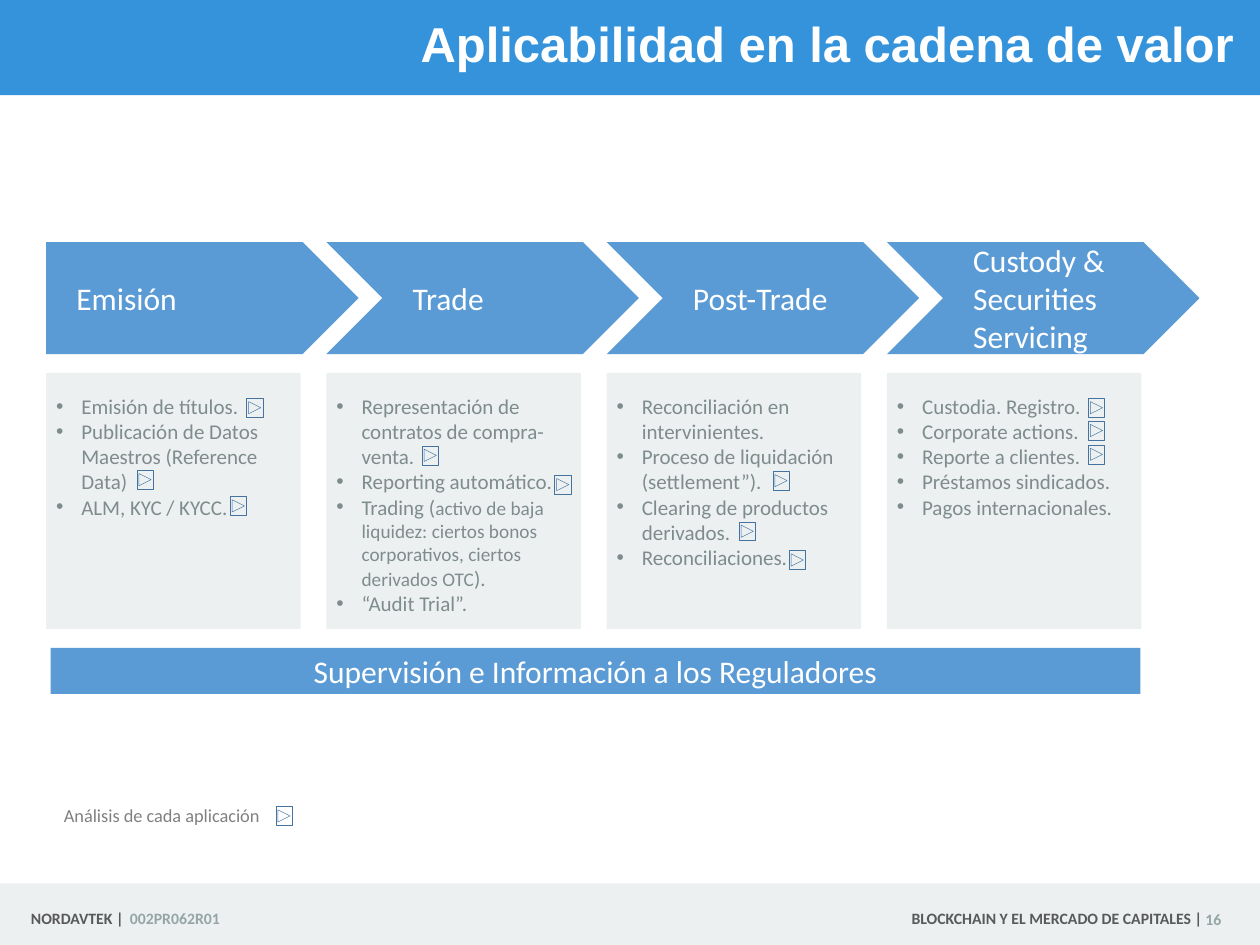
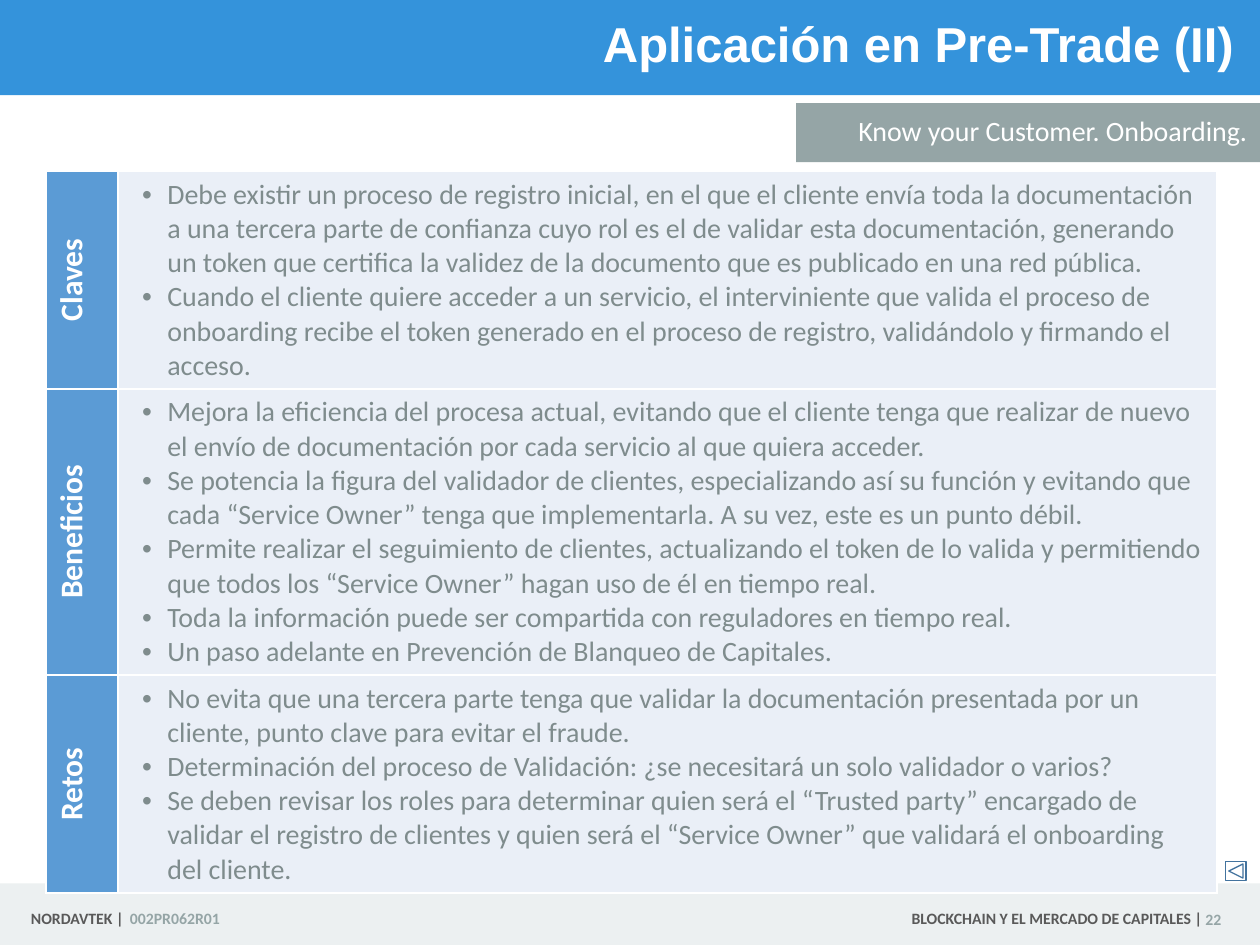
from lxml.etree import SubElement
from pptx import Presentation
from pptx.dml.color import RGBColor
from pptx.enum.shapes import MSO_SHAPE as Shape
from pptx.enum.text import MSO_ANCHOR as Anchor, PP_ALIGN as Align
from pptx.oxml.ns import qn
from pptx.util import Cm, Pt

SLIDE_WIDTH, SLIDE_HEIGHT = 25.4, 19.05
TITLE_BLUE, BLUE, BUTTON_BLUE = "3493DB", "5B9BD5", "43739E"
PALE_GREY, PALE_BLUE, WHITE = "ECF0F1", "EAEFF7", "FFFFFF"
TEXT_GREY, MID_GREY, DARK_GREY, LEGEND_GREY = "7F8C8D", "95A5A6", "595959", "808080"
DEFAULT_INSETS = (0.25, 0.13, 0.25, 0.13)
LEFT_FOOTER_INSETS, RIGHT_FOOTER_INSETS = (0.25, 0.13, 0, 0.13), (0, 0.13, 0.25, 0.13)

STAGES = [
    ("Emisión",
     ["Emisión de títulos.", "Publicación de Datos Maestros (Reference Data)", "ALM, KYC / KYCC."],
     [(4.04, 0.51), (1.83, 1.96), (3.71, 2.49)]),
    ("Trade",
     ["Representación de contratos de compra-venta.", "Reporting automático.",
      [("Trading (", 12),
       ("activo de baja liquidez: ciertos bonos corporativos, ciertos derivados OTC", 11),
       (").", 12)],
      "“Audit Trial”."],
     [(1.93, 1.47), (4.6, 2.06)]),
    ("Post-Trade",
     ["Reconciliación en intervinientes.", "Proceso de liquidación (settlement”).",
      "Clearing de productos derivados.", "Reconciliaciones."],
     [(3.35, 1.98), (2.67, 3), (3.68, 3.58)]),
    ("Custody & Securities Servicing",
     ["Custodia. Registro.", "Corporate actions.", "Reporte a clientes.",
      "Préstamos sindicados.", "Pagos internacionales."],
     [(4.06, 0.51), (4.06, 0.97), (4.06, 1.45)]),
]

ONBOARDING = [
    ("Claves", 4.39, [
        "Debe existir un proceso de registro inicial, en el que el cliente envía toda la "
        "documentación a una tercera parte de confianza cuyo rol es el de validar esta "
        "documentación, generando un token que certifica la validez de la documento que es "
        "publicado en una red pública.",
        "Cuando el cliente quiere acceder a un servicio, el interviniente que valida el proceso "
        "de onboarding recibe el token generado en el proceso de registro, validándolo y "
        "firmando el acceso."]),
    ("Beneficios", 5.77, [
        "Mejora la eficiencia del procesa actual, evitando que el cliente tenga que realizar de "
        "nuevo el envío de documentación por cada servicio al que quiera acceder.",
        "Se potencia la figura del validador de clientes, especializando así su función y "
        "evitando que cada “Service Owner” tenga que implementarla. A su vez, este es un punto "
        "débil.",
        "Permite realizar el seguimiento de clientes, actualizando el token de lo valida y "
        "permitiendo que todos los “Service Owner” hagan uso de él en tiempo real.",
        "Toda la información puede ser compartida con reguladores en tiempo real.",
        "Un paso adelante en Prevención de Blanqueo de Capitales."]),
    ("Retos", 4.39, [
        "No evita que una tercera parte tenga que validar la documentación presentada por un "
        "cliente, punto clave para evitar el fraude.",
        "Determinación del proceso de Validación: ¿se necesitará un solo validador o varios?",
        "Se deben revisar los roles para determinar quien será el “Trusted party” encargado de "
        "validar el registro de clientes y quien será el “Service Owner” que validará el "
        "onboarding del cliente."]),
]


def color(value):
    """Turn a hex string into a colour."""
    return RGBColor.from_string(value)


def write(text_frame, items, size, ink, bold=False, font="Calibri", align=Align.LEFT,
          spacing=None, before=None):
    """Write one paragraph per item; an item is a string or a list of (text, size)."""
    for index, item in enumerate(items):
        paragraph = text_frame.add_paragraph() if index else text_frame.paragraphs[0]
        paragraph.alignment = align
        if spacing:
            paragraph.line_spacing = spacing
        if before:
            paragraph.space_before = Pt(before)
        pieces = [(item, size)] if isinstance(item, str) else item
        for text, piece_size in pieces:
            run = paragraph.add_run()
            run.text = text
            run.font.size, run.font.bold, run.font.name = Pt(piece_size), bold, font
            run.font.color.rgb = color(ink)


def add_bullets(text_frame, margin):
    """Give every paragraph a hanging bullet."""
    for paragraph in text_frame.paragraphs:
        properties = paragraph._p.get_or_add_pPr()
        properties.set("marL", str(Cm(margin)))
        properties.set("indent", str(-Cm(0.51)))
        SubElement(properties, qn("a:buFont"), typeface="Arial")
        SubElement(properties, qn("a:buChar"), char="•")


def set_frame(text_frame, anchor, insets=DEFAULT_INSETS, wrap=True):
    """Set the anchor, the insets and the wrapping of a text frame."""
    text_frame.word_wrap = wrap
    text_frame.vertical_anchor = anchor
    (text_frame.margin_left, text_frame.margin_top,
     text_frame.margin_right, text_frame.margin_bottom) = map(Cm, insets)


def add_block(slide, box, fill, kind=Shape.RECTANGLE, anchor=Anchor.MIDDLE, insets=DEFAULT_INSETS):
    """Add a filled shape without outline."""
    shape = slide.shapes.add_shape(kind, *map(Cm, box))
    shape.shadow.inherit = False
    shape.fill.solid()
    shape.fill.fore_color.rgb = color(fill)
    shape.line.fill.background()
    set_frame(shape.text_frame, anchor, insets)
    return shape


def add_label(slide, box, text, size, ink, anchor=Anchor.MIDDLE, insets=DEFAULT_INSETS,
              wrap=True, **style):
    """Add a text box with one paragraph."""
    label = slide.shapes.add_textbox(*map(Cm, box))
    set_frame(label.text_frame, anchor, insets, wrap)
    write(label.text_frame, [text], size, ink, **style)


def add_button(slide, box, kind=Shape.ACTION_BUTTON_FORWARD_OR_NEXT, weight=0.25):
    """Add an outlined navigation button."""
    button = slide.shapes.add_shape(kind, *map(Cm, box))
    button.shadow.inherit = False
    button.fill.background()
    button.line.color.rgb = color(BUTTON_BLUE)
    button.line.width = Pt(weight)


def add_footer(slide, top, number):
    """Add the footer band with its texts and the page number."""
    add_block(slide, (0, top, SLIDE_WIDTH, SLIDE_HEIGHT - top), PALE_GREY)
    for left, width, text in [(0.23, 2.26, "NORDAVTEK |"),
                              (15.65, 8.58, "BLOCKCHAIN Y EL MERCADO DE CAPITALES |")]:
        add_label(slide, (left, top + 0.3, width, 0.79), text, 9, DARK_GREY,
                  insets=LEFT_FOOTER_INSETS, bold=True, align=Align.RIGHT)
    add_label(slide, (2.62, top + 0.33, 2.26, 0.79), "002PR062R01", 9, MID_GREY,
              insets=RIGHT_FOOTER_INSETS, bold=True, spacing=0.9, before=10)
    add_label(slide, (24.23, top + 0.33, 0.89, 0.79), f" {number}", 9, MID_GREY,
              insets=RIGHT_FOOTER_INSETS, bold=True)


def add_page(presentation, title, number):
    """Add a slide with the shared title band and footer."""
    slide = presentation.slides.add_slide(presentation.slide_layouts[6])
    add_block(slide, (0, 0, SLIDE_WIDTH, 1.92), TITLE_BLUE)
    add_footer(slide, 17.81, number)
    add_label(slide, (6.27, 0.03, 18.85, 1.83), title, 28, WHITE, bold=True,
              font="Arial", align=Align.RIGHT, spacing=0.9)
    return slide


def add_stage(slide, left, top, kind, stage):
    """Add a stage arrow, its card of bullets and the card's buttons."""
    name, points, buttons = stage
    arrow = add_block(slide, (left, top, 6.3, 2.26), BLUE, kind, insets=(0.61, 0.2, 0, 0.2))
    write(arrow.text_frame, [name], 18, WHITE)
    card_top = top + 2.64
    card = add_block(slide, (left, card_top, 5.13, 5.16), PALE_GREY,
                     anchor=Anchor.TOP, insets=(0.2, 0.41, 0, 0.13))
    write(card.text_frame, points, 12, TEXT_GREY)
    add_bullets(card.text_frame, 0.51)
    for x, y in buttons:
        add_button(slide, (left + x, card_top + y, 0.33, 0.38))


def build_value_chain(presentation):
    """Build the slide of the value chain."""
    slide = add_page(presentation, "Aplicabilidad en la cadena de valor", 16)
    for index, stage in enumerate(STAGES):
        kind = Shape.CHEVRON if index else Shape.PENTAGON
        add_stage(slide, 0.93 + index * 5.65, 4.88, kind, stage)
    supervision = add_block(slide, (1.02, 13.06, 21.97, 0.93), BLUE)
    write(supervision.text_frame, ["Supervisión e Información a los Reguladores"], 18, WHITE,
          align=Align.CENTER)
    add_label(slide, (1.04, 16.08, 4.52, 0.71), "Análisis de cada aplicación", 10.5,
              LEGEND_GREY, anchor=Anchor.TOP, wrap=False)
    add_button(slide, (5.56, 16.26, 0.33, 0.38))


def style_cell(cell, fill):
    """Fill a cell and draw its white borders."""
    cell.fill.solid()
    cell.fill.fore_color.rgb = color(fill)
    properties = cell._tc.get_or_add_tcPr()
    for index, side in enumerate(("lnL", "lnR", "lnT", "lnB")):
        border = SubElement(properties, qn(f"a:{side}"), w=str(Pt(1)))
        solid = SubElement(border, qn("a:solidFill"))
        SubElement(solid, qn("a:srgbClr"), val=WHITE)
        properties.insert(index, border)


def add_topic_table(slide, left, top, topics):
    """Add the table with a vertical heading and bullets for each topic."""
    widths = (1.45, 22.15)
    height = sum(topic[1] for topic in topics)
    frame = slide.shapes.add_table(len(topics), 2, *map(Cm, (left, top, sum(widths), height)))
    table = frame.table
    table.first_row = table.horz_banding = False
    for column, width in zip(table.columns, widths):
        column.width = Cm(width)
    for row, (name, row_height, points) in zip(table.rows, topics):
        row.height = Cm(row_height)
        heading, body = row.cells
        style_cell(heading, BLUE)
        heading._tc.get_or_add_tcPr().set("vert", "vert270")
        write(heading.text_frame, [name], 18, WHITE, bold=True, align=Align.CENTER)
        style_cell(body, PALE_BLUE)
        write(body.text_frame, points, 16, TEXT_GREY)
        add_bullets(body.text_frame, 0.74)


def build_onboarding(presentation):
    """Build the slide about customer onboarding."""
    slide = add_page(presentation, "Aplicación en Pre-Trade (II)", 22)
    subtitle = add_block(slide, (16.05, 2.08, 9.35, 1.19), MID_GREY)
    write(subtitle.text_frame, ["Know your Customer. Onboarding."], 16, WHITE,
          align=Align.RIGHT, spacing=0.9, before=10)
    add_topic_table(slide, 0.93, 3.45, ONBOARDING)
    add_button(slide, (24.71, 17.37, 0.41, 0.38), Shape.ACTION_BUTTON_BACK_OR_PREVIOUS, 0.75)


def main():
    """Build and save the presentation."""
    presentation = Presentation()
    presentation.slide_width, presentation.slide_height = Cm(SLIDE_WIDTH), Cm(SLIDE_HEIGHT)
    build_value_chain(presentation)
    build_onboarding(presentation)
    presentation.save("out.pptx")


if __name__ == "__main__":
    main()
